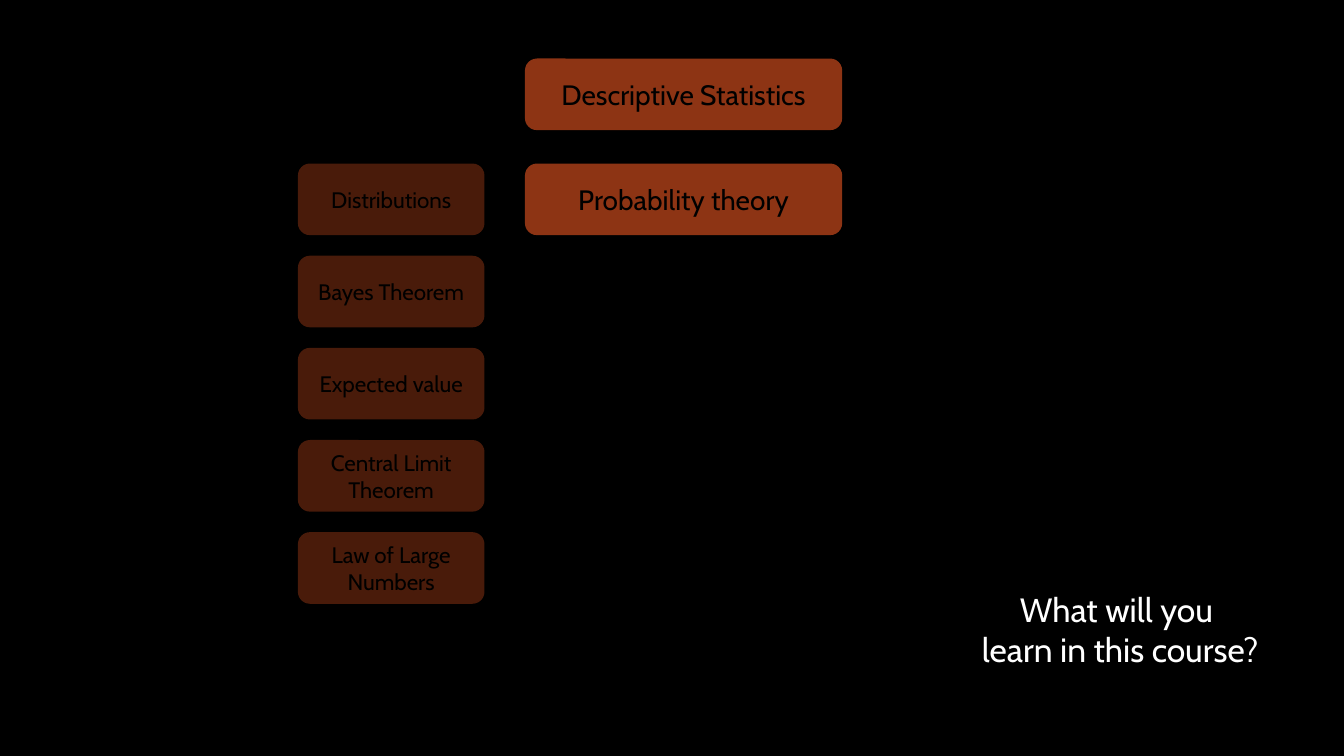
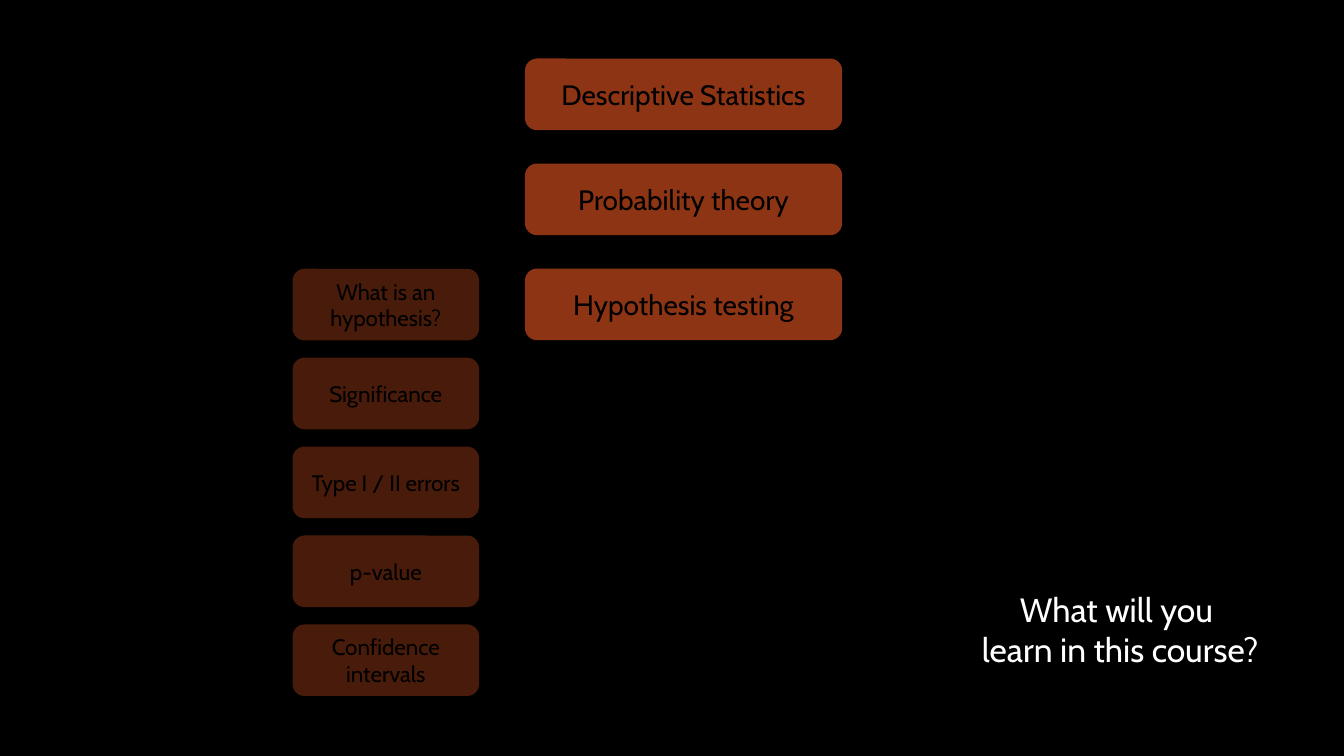
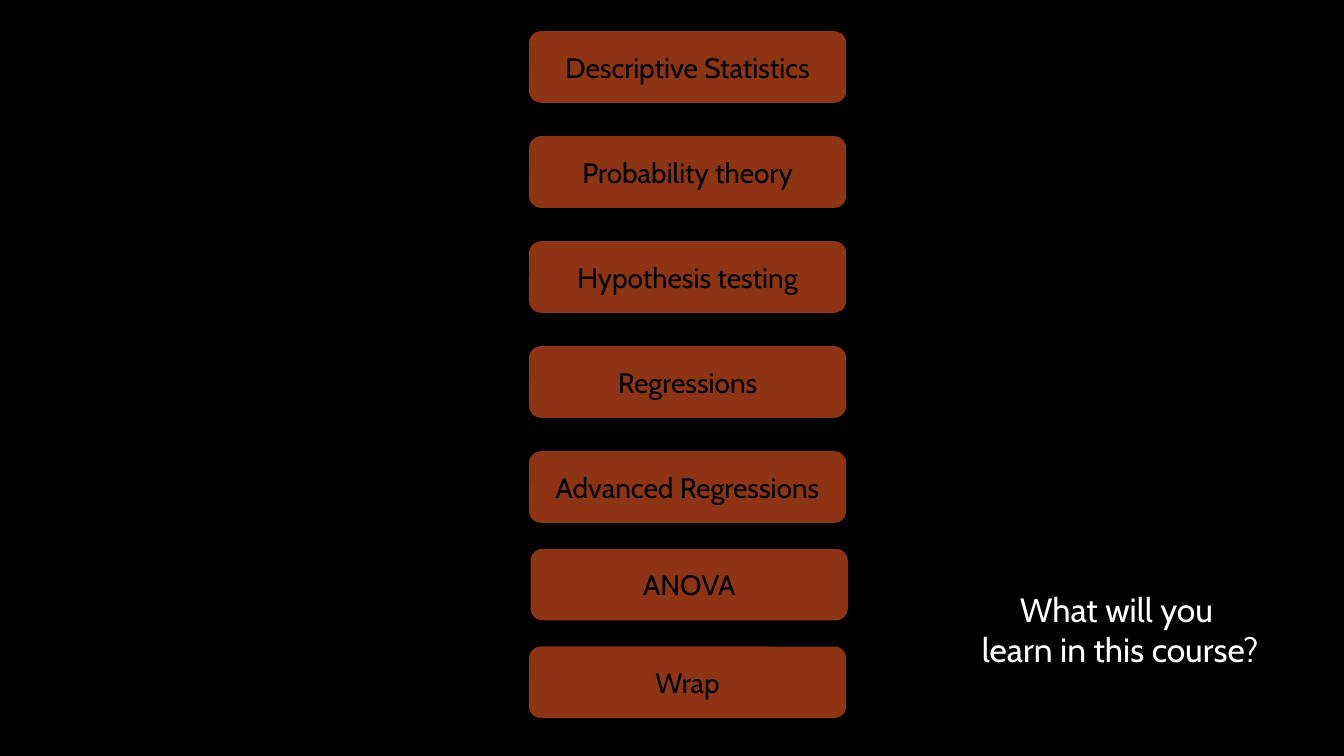
import pptx
import pptx.util
import pptx.dml.color
import pptx.enum.shapes
import pptx.enum.text
import pptx.oxml.ns
import lxml.etree

RGBColor = pptx.dml.color.RGBColor
BLACK = RGBColor(0x00, 0x00, 0x00)
WHITE = RGBColor(0xFF, 0xFF, 0xFF)
RUST = RGBColor(0x8D, 0x34, 0x14)
FONT = "Cabin"

WIDE = pptx.util.Inches(13.33)
HIGH = pptx.util.Inches(7.5)

# Shares of the slide, in percent
TITLE = (71.27, 77.2, 24.16, 12)
BOX_H = 9.47
TOPIC_W, TOPIC_STEP = 23.6, 13.89
LAST_STEP = 12.92
PART_W = 13.88

HEAD = ["What will you ", "learn in this course?"]
TOPICS = ["Descriptive Statistics", "Probability theory", "Hypothesis testing",
          "Regressions", "Advanced Regressions"]
CHANCE = ["Distributions", "Bayes Theorem", "Expected value",
          "Central Limit Theorem", "Law of Large Numbers"]
TESTS = ["What is an hypothesis?", "Significance", "Type I / II errors",
         "p-value", "Confidence intervals"]


def area(left, top, width, height):
    return [int(share * side / 100) for share, side in
            zip((left, top, width, height), (WIDE, HIGH, WIDE, HIGH))]


def write(frame, lines, size, color):
    frame.word_wrap = True
    frame.vertical_anchor = pptx.enum.text.MSO_ANCHOR.MIDDLE
    for i, line in enumerate(lines):
        para = frame.add_paragraph() if i else frame.paragraphs[0]
        para.alignment = pptx.enum.text.PP_ALIGN.CENTER
        run = para.add_run()
        run.text = line
        run.font.name = FONT
        run.font.size = pptx.util.Pt(size)
        run.font.color.rgb = color


def fade(shape, share):
    tag = pptx.oxml.ns.qn
    color = shape.element.spPr.find(tag("a:solidFill")).find(tag("a:srgbClr"))
    lxml.etree.SubElement(color, tag("a:alpha")).set("val", str(share * 1000))


def add_box(slide, text, left, top, width, size):
    kind = pptx.enum.shapes.MSO_SHAPE.ROUNDED_RECTANGLE
    box = slide.shapes.add_shape(kind, *area(left, top, width, BOX_H))
    box.shadow.inherit = False
    box.fill.solid()
    box.fill.fore_color.rgb = RUST
    box.line.fill.background()
    write(box.text_frame, [text], size, BLACK)
    return box


def add_topics(slide, names, left, top, step=TOPIC_STEP):
    for i, name in enumerate(names):
        add_box(slide, name, left, top + i * step, TOPIC_W, 20)


def add_parts(slide, names, left, top, step):
    for i, name in enumerate(names):
        fade(add_box(slide, name, left, top + i * step, PART_W, 16), 52)


def set_theme(deck):
    deck.slide_width, deck.slide_height = WIDE, HIGH
    back = deck.slide_master.background.fill
    back.solid()
    back.fore_color.rgb = BLACK
    layout = deck.slide_layouts.get_by_name("Title Only")
    title = layout.placeholders[0]
    title.left, title.top, title.width, title.height = area(*TITLE)
    return layout


def add_slide(deck, layout):
    slide = deck.slides.add_slide(layout)
    write(slide.shapes.title.text_frame, HEAD, 24, WHITE)
    return slide


def main():
    deck = pptx.Presentation()
    layout = set_theme(deck)

    slide = add_slide(deck, layout)
    add_topics(slide, TOPICS[:2], 39.06, 7.75)
    add_parts(slide, CHANCE, 22.17, 21.64, 12.19)

    slide = add_slide(deck, layout)
    add_topics(slide, TOPICS[:3], 39.06, 7.75)
    add_parts(slide, TESTS, 21.77, 35.56, 11.76)

    slide = add_slide(deck, layout)
    add_topics(slide, TOPICS, 39.36, 4.13)
    add_topics(slide, ["ANOVA"], 39.48, 72.6)
    add_topics(slide, ["Wrap"], 39.36, 72.6 + LAST_STEP)

    deck.save("out.pptx")


if __name__ == "__main__":
    main()
